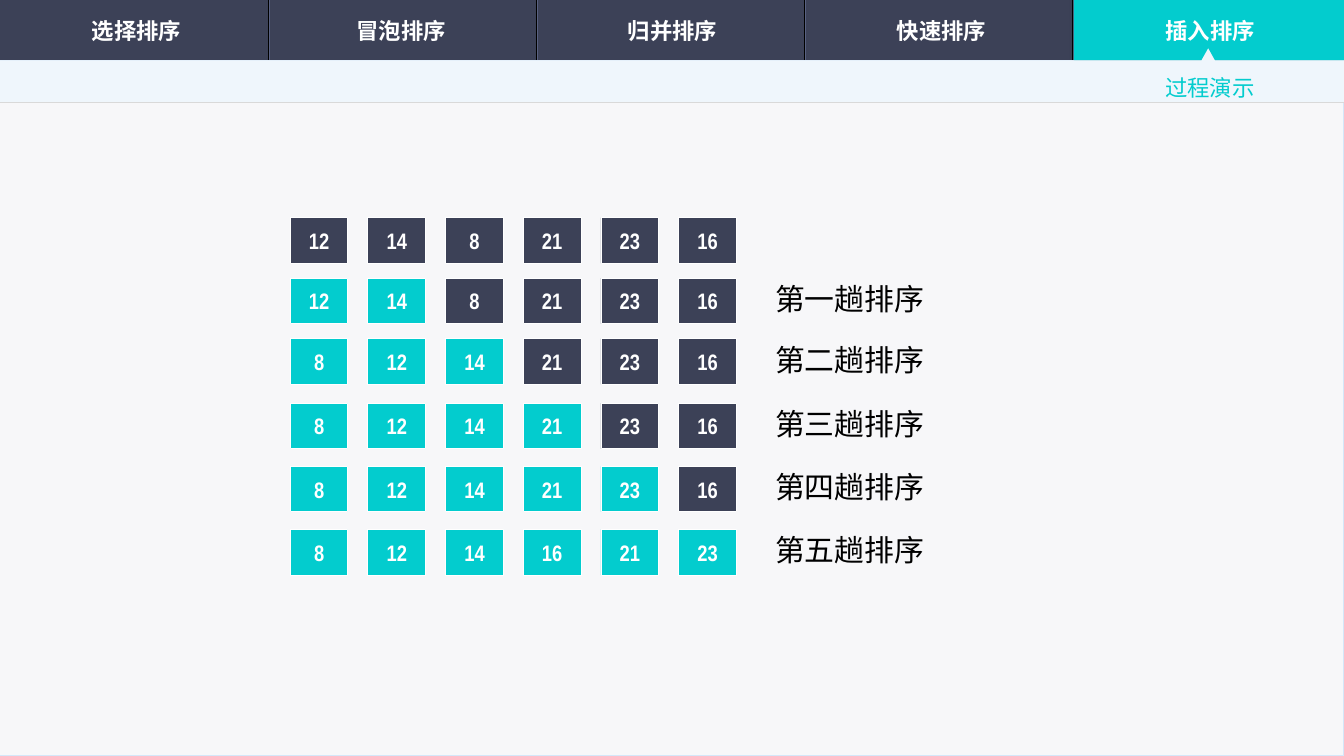
from lxml import etree
from pptx import Presentation
from pptx import util as u
from pptx.dml.color import RGBColor
from pptx.enum import shapes, text
from pptx.oxml import ns

NAVY = RGBColor(0x3C, 0x41, 0x57)
TEAL = RGBColor(0x03, 0xCC, 0xCE)
SLATE = RGBColor(0x3B, 0x44, 0x5B)
EDGE = RGBColor(0x59, 0x61, 0x81)
PAPER = RGBColor(0xF7, 0xF7, 0xF9)
FRAME = RGBColor(0xD4, 0xE7, 0xF9)
PALE = RGBColor(0xEF, 0xF6, 0xFC)
GREY = RGBColor(0xD9, 0xD9, 0xD9)
WHITE = RGBColor(0xFF, 0xFF, 0xFF)
BLACK = RGBColor(0, 0, 0)

HAN = "Noto Sans CJK SC"
WIDE = 10
HIGH = WIDE * 9 / 16
BAR, BAND = 0.45, 0.31
TABS = [(0.02, "选择排序"), (1.99, "冒泡排序"), (4.01, "归并排序"),
        (6.01, "快速排序"), (8.01, "插入排序")]
STEPS = [
    (1.62, [12, 14, 8, 21, 23, 16], 0, ""),
    (2.07, [12, 14, 8, 21, 23, 16], 2, "第一趟排序"),
    (2.52, [8, 12, 14, 21, 23, 16], 3, "第二趟排序"),
    (3.00, [8, 12, 14, 21, 23, 16], 4, "第三趟排序"),
    (3.47, [8, 12, 14, 21, 23, 16], 5, "第四趟排序"),
    (3.94, [8, 12, 14, 16, 21, 23], 6, "第五趟排序"),
]


def inch(*nums):
    """Turn numbers of inches into lengths."""
    return [u.Inches(num) for num in nums]


def write(shape, words, size, face, color, bold=False,
          align=text.PP_ALIGN.LEFT, anchor=text.MSO_ANCHOR.MIDDLE):
    """Put one styled paragraph into a shape."""
    frame = shape.text_frame
    frame.text = words
    frame.vertical_anchor = anchor
    para = frame.paragraphs[0]
    para.alignment = align
    font = para.font
    font.size, font.bold, font.name = u.Pt(size), bold, face
    font.color.rgb = color
    if face == HAN:
        props = para._p.pPr.find(ns.qn("a:defRPr"))
        etree.SubElement(props, ns.qn("a:ea"), typeface=face)
    return para


def block(slide, box, fill=None, line=None, kind=shapes.MSO_SHAPE.RECTANGLE):
    """Add a flat preset shape with a thin outline or none."""
    shape = slide.shapes.add_shape(kind, *inch(*box))
    shape.shadow.inherit = False
    paint(shape, fill, line)
    return shape


def paint(shape, fill, line=None):
    """Set the fill and outline of a shape."""
    if fill is None:
        shape.fill.background()
    else:
        shape.fill.solid()
        shape.fill.fore_color.rgb = fill
    if line is None:
        shape.line.fill.background()
    else:
        shape.line.color.rgb = line
        shape.line.width = u.Pt(0.5)


def rule(slide, start, end, color, width=0.5):
    """Draw a straight line without a shadow."""
    line = slide.shapes.add_connector(
        shapes.MSO_CONNECTOR.STRAIGHT, *inch(*start, *end))
    line.line.color.rgb = color
    line.line.width = u.Pt(width)
    etree.SubElement(line._element.spPr, ns.qn("a:effectLst"))


def glow(shape):
    """Give a shape a soft shadow along its upper edge."""
    effects = shape._element.spPr.find(ns.qn("a:effectLst"))
    outer = etree.SubElement(effects, ns.qn("a:outerShdw"), blurRad="38100",
                             dist="0", dir="16200000", rotWithShape="0")
    tint = etree.SubElement(outer, ns.qn("a:srgbClr"), val=str(BLACK))
    etree.SubElement(tint, ns.qn("a:alpha"), val="20000")


def strip(slide, box):
    """Draw the pale strip whose notch points at the last tab."""
    left, top, width, height = box
    right, base, tip = left + width, top + height, left + 0.899 * width
    dots = [(tip + 0.05, top), (right, top), (right, base), (left, base),
            (left, top), (tip - 0.05, top)]
    path = slide.shapes.build_freeform(*inch(tip, top - 0.09))
    path.add_line_segments([inch(*dot) for dot in dots], close=True)
    shape = path.convert_to_shape()
    shape.shadow.inherit = False
    paint(shape, PALE)
    rule(slide, (left, base), (right, base), GREY)


def header(slide, box):
    """Build the tab bar with the last tab lit."""
    left, top, width, height = box
    step = width / len(TABS)
    for num in range(1, len(TABS)):
        edge = left + num * (step - 0.005)
        for shift, color, thick in ((0, BLACK, 0.5), (0.01, EDGE, 0.75)):
            rule(slide, (edge + shift, top), (edge + shift, top + height),
                 color, thick)
    glow(block(slide, (left + width - step - 0.01, top, step + 0.01, height),
               TEAL))
    strip(slide, (left, top + height, width, BAND))
    for shift, name in TABS:
        tab = block(slide, (left + shift, top + 0.07, step - 0.01, BAND),
                    kind=shapes.MSO_SHAPE.ROUNDED_RECTANGLE)
        tab.adjustments[0] = 0
        write(tab, name, 12, HAN, WHITE, True, text.PP_ALIGN.CENTER)


def title(slide, box):
    """Move the title under the lit tab."""
    shape = slide.shapes.title
    slide.shapes.element.append(shape.element)
    shape.left, shape.top, shape.width, shape.height = inch(*box)
    para = write(shape, "过程演示", 12, HAN, TEAL)
    para.line_spacing = 1.5
    shape.text_frame.word_wrap = False
    shape.text_frame.auto_size = text.MSO_AUTO_SIZE.SHAPE_TO_FIT_TEXT


def sort_row(slide, box, vals, done, label):
    """Lay out one pass: number cells, sorted ones lit, and a label."""
    left, top, width, height = box
    cell = 0.43
    step = (width - cell) / (len(vals) - 1)
    for num, val in enumerate(vals):
        shape = block(slide, (left + num * step, top, cell, height),
                      TEAL if num < done else NAVY, WHITE)
        write(shape, str(val), 12, "Arial Narrow", WHITE, True,
              text.PP_ALIGN.CENTER)
    if label:
        note = slide.shapes.add_textbox(
            *inch(left + width + 0.19, top - 0.03, 3.27, 0.37))
        note.text_frame.word_wrap = True
        write(note, label, 16, "Calibri", BLACK, anchor=text.MSO_ANCHOR.TOP)


def main():
    """Build and save the slide."""
    deck = Presentation()
    deck.slide_width, deck.slide_height = inch(WIDE, HIGH)
    slide = deck.slides.add_slide(deck.slide_layouts[5])
    back = slide.background.fill
    back.gradient()
    back.gradient_angle = 315
    for stop, color in zip(back.gradient_stops, (TEAL, SLATE)):
        stop.color.rgb = color
    block(slide, (0, 0, WIDE, BAR), NAVY)
    block(slide, (0, BAR, WIDE, HIGH - BAR), PAPER, FRAME)
    header(slide, (0, 0, WIDE, BAR))
    title(slide, (8.57, 0.4, 0.87, 0.4))
    for top, vals, done, label in STEPS:
        sort_row(slide, (2.16, top, 3.32, 0.34), vals, done, label)
    deck.save("out.pptx")


if __name__ == "__main__":
    main()
